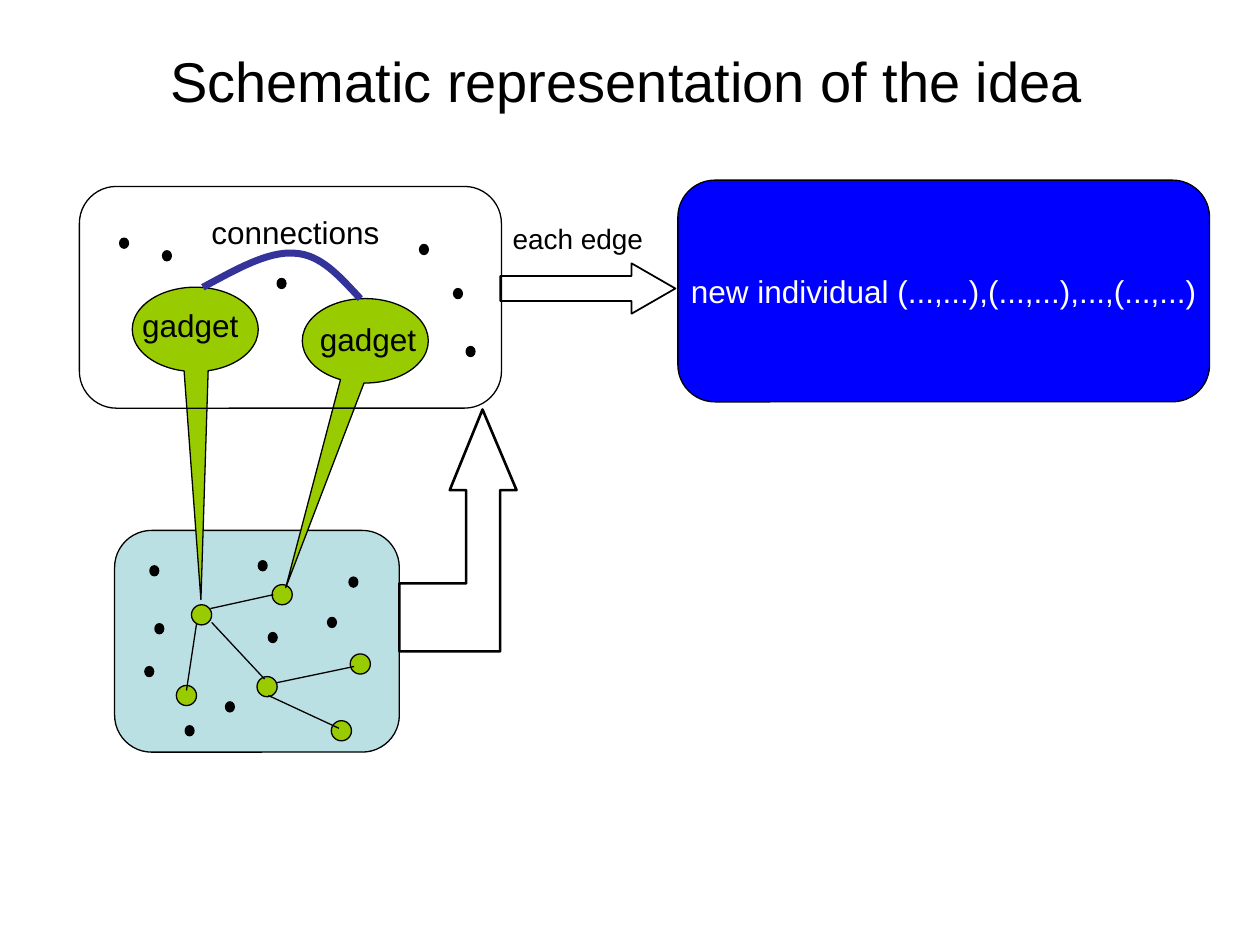
from pptx import Presentation
from pptx.dml.color import RGBColor
from pptx.enum.shapes import MSO_CONNECTOR, MSO_SHAPE
from pptx.enum.text import MSO_ANCHOR, MSO_AUTO_SIZE, PP_ALIGN
from pptx.oxml.ns import qn
from pptx.util import Inches, Pt
from lxml.etree import SubElement

COLORS = {
    "black": "000000",
    "white": "FFFFFF",
    "graph": "BBE0E3",
    "node": "99CC00",
    "link": "333399",
    "individual": "0000FF",
}
FONT = "Arial"
NODE_SIZE = 0.16
DOT_SIZE = (0.07, 0.08)

NODES = [(1.4, 5.44), (1.52, 4.8), (2.16, 4.64), (2.04, 5.37), (2.78, 5.19), (2.63, 5.72)]
EDGES = [
    (1.67, 4.83, 2.17, 4.72),
    (1.56, 4.95, 1.48, 5.48),
    (1.68, 4.94, 2.1, 5.39),
    (2.19, 5.42, 2.81, 5.29),
    (2.13, 5.52, 2.69, 5.78),
]
GRAPH_DOTS = [
    (1.19, 4.49), (1.15, 5.29), (1.23, 4.95), (1.79, 5.57), (1.47, 5.76),
    (2.13, 5.02), (2.6, 4.9), (2.77, 4.58), (2.05, 4.45),
]
GADGET_DOTS = [(0.95, 1.89), (1.29, 1.99), (3.7, 2.75), (3.33, 1.94), (2.2, 2.21), (3.6, 2.29)]
BENT_ARROW = [
    (3.17, 4.63), (3.7, 4.63), (3.7, 3.89), (3.57, 3.89), (3.83, 3.25),
    (4.1, 3.89), (3.97, 3.89), (3.97, 5.17), (3.17, 5.17),
]
# Start point, then two control points and an end point for each segment
CONNECTION = [
    (1.61, 2.28),
    (1.87, 2.14), (2.13, 1.99), (2.34, 2.01),
    (2.55, 2.02), (2.7, 2.2), (2.86, 2.37),
]


def rgb(name):
    return RGBColor.from_string(COLORS[name])


def style(shape, fill=None, line="black", width=0.75):
    shape.shadow.inherit = False
    if fill:
        shape.fill.solid()
        shape.fill.fore_color.rgb = rgb(fill)
    else:
        shape.fill.background()
    shape.line.color.rgb = rgb(line)
    shape.line.width = Pt(width)


def add_preset(slide, kind, box, fill=None, adjustments=(), width=0.75):
    shape = slide.shapes.add_shape(kind, *map(Inches, box))
    for index, value in enumerate(adjustments):
        shape.adjustments[index] = value
    style(shape, fill, width=width)
    return shape


def add_panel(slide, box, fill=None):
    return add_preset(slide, MSO_SHAPE.ROUNDED_RECTANGLE, box, fill, [0.167])


def add_dots(slide, corners):
    for corner in corners:
        add_preset(slide, MSO_SHAPE.OVAL, (*corner, *DOT_SIZE), "black")


def add_edge(slide, ends):
    edge = slide.shapes.add_connector(MSO_CONNECTOR.STRAIGHT, *map(Inches, ends))
    edge.line.color.rgb = rgb("black")
    edge.line.width = Pt(0.75)
    SubElement(edge._element.spPr, qn("a:effectLst"))


def add_outline(slide, points, close):
    start, *rest = [(Inches(x), Inches(y)) for x, y in points]
    builder = slide.shapes.build_freeform(*start)
    builder.add_line_segments(rest, close=close)
    return builder.convert_to_shape()


def add_curve(slide, points):
    """Draw cubic segments by merging every three straight ones."""
    curve = add_outline(slide, points, close=False)
    path = next(curve._element.iter(qn("a:path")))
    straights = path.findall(qn("a:lnTo"))
    for first in range(0, len(straights), 3):
        cubic = SubElement(path, qn("a:cubicBezTo"))
        for straight in straights[first:first + 3]:
            cubic.append(straight[0])
            path.remove(straight)
    style(curve, line="link", width=4)


def write(frame, text, size, color="black", align=PP_ALIGN.LEFT):
    paragraph = frame.paragraphs[0]
    paragraph.text = text
    paragraph.alignment = align
    paragraph.font.name = FONT
    paragraph.font.size = Pt(size)
    paragraph.font.color.rgb = rgb(color)


def add_label(slide, text, box, size=18):
    frame = slide.shapes.add_textbox(*map(Inches, box)).text_frame
    frame.word_wrap = True
    frame.margin_right = 0
    write(frame, text, size)


def add_title(slide, text):
    title = slide.shapes.title
    title.left, title.top, title.width, title.height = map(Inches, (0.32, 0.32, 9.31, 6.5))
    frame = title.text_frame
    frame.auto_size = MSO_AUTO_SIZE.NONE
    frame.vertical_anchor = MSO_ANCHOR.TOP
    write(frame, text, 32, align=PP_ALIGN.CENTER)


def add_graph(slide):
    add_panel(slide, (0.91, 4.21, 2.26, 1.76), "graph")
    for corner in NODES:
        add_preset(slide, MSO_SHAPE.OVAL, (*corner, NODE_SIZE, NODE_SIZE), "node")
    for ends in EDGES:
        add_edge(slide, ends)
    add_dots(slide, GRAPH_DOTS)


def add_gadgets(slide):
    for corner, tip in [((1.05, 2.28), (0.045, 3.2)), ((2.4, 2.37), (-0.632, 2.924))]:
        add_preset(slide, MSO_SHAPE.OVAL_CALLOUT, (*corner, 1, 0.67), "node", tip)
    add_panel(slide, (0.63, 1.48, 3.35, 1.76))
    add_dots(slide, GADGET_DOTS)
    style(add_outline(slide, BENT_ARROW, close=True), width=1.5)
    for corner in [(2.44, 2.49), (1.03, 2.38)]:
        add_label(slide, "gadget", (*corner, 0.96, 0.4))
    add_label(slide, "connections", (1.58, 1.64, 1.53, 0.4))
    add_curve(slide, CONNECTION)


def add_individual(slide):
    individual = add_panel(slide, (5.38, 1.43, 4.22, 1.76), "individual")
    frame = individual.text_frame
    frame.word_wrap = False
    frame.vertical_anchor = MSO_ANCHOR.MIDDLE
    write(frame, "new individual (...,...),(...,...),...,(...,...)", 18, "white", PP_ALIGN.CENTER)
    add_preset(slide, MSO_SHAPE.RIGHT_ARROW, (3.97, 2.09, 1.39, 0.4),
               adjustments=(0.5, 0.87), width=1)
    add_label(slide, "each edge", (3.97, 1.71, 1.23, 0.37), 16)


def main():
    deck = Presentation()
    deck.slide_width, deck.slide_height = Inches(10), Inches(7.5)
    slide = deck.slides.add_slide(deck.slide_layouts[5])
    add_title(slide, "Schematic representation of the idea")
    add_graph(slide)
    add_gadgets(slide)
    add_individual(slide)
    deck.save("out.pptx")


if __name__ == "__main__":
    main()
